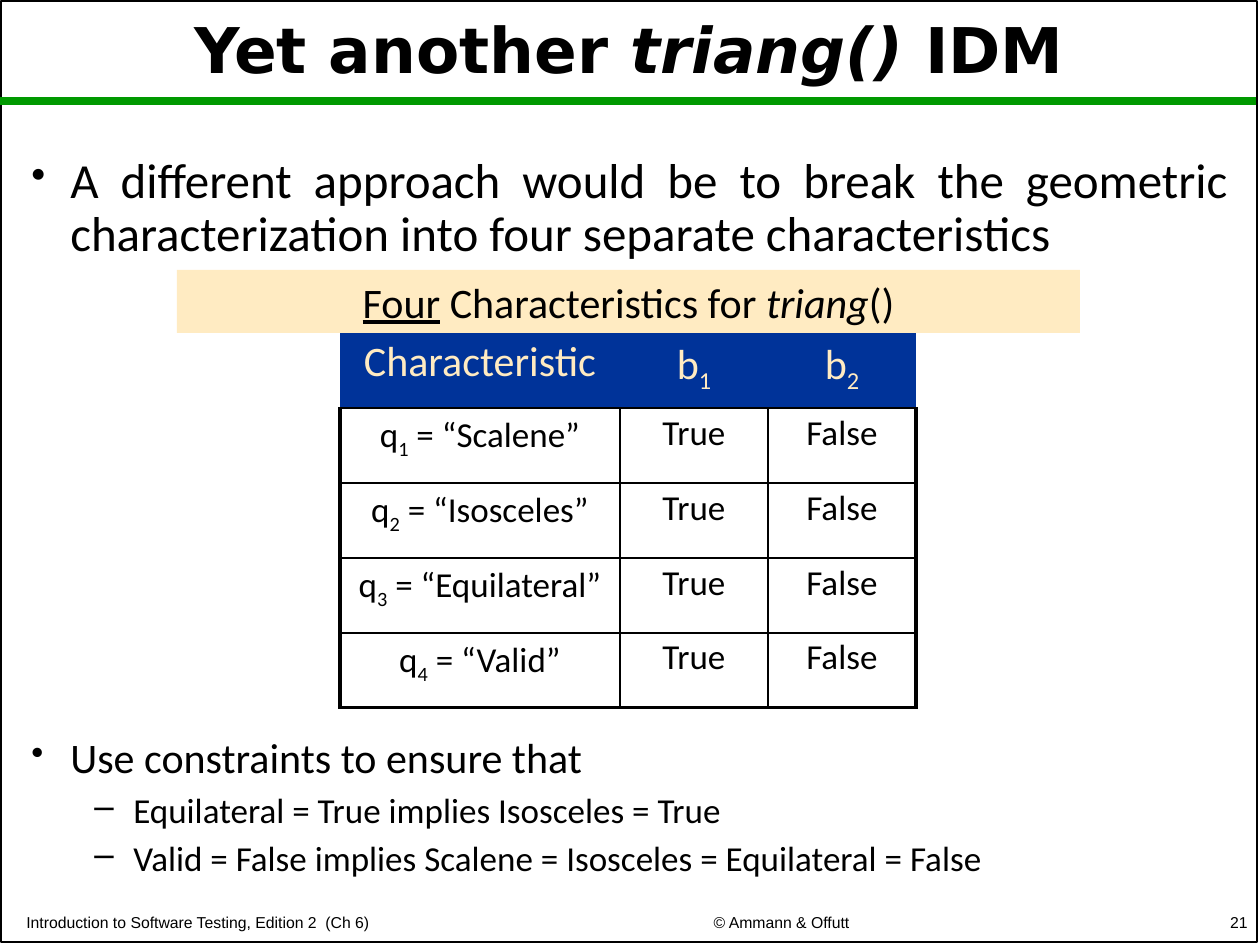
from lxml import etree
from pptx import Presentation
from pptx.dml.color import RGBColor
from pptx.enum import shapes, text
from pptx.oxml import ns
from pptx.util import Emu, Pt

BLACK = RGBColor(0x00, 0x00, 0x00)
WHITE = RGBColor(0xFF, 0xFF, 0xFF)
GREEN = RGBColor(0x00, 0x99, 0x00)
NAVY = RGBColor(0x00, 0x33, 0x99)
CREAM = RGBColor(0xFF, 0xEB, 0xC2)

LEFT, CENTER = text.PP_ALIGN.LEFT, text.PP_ALIGN.CENTER
RIGHT, JUSTIFY = text.PP_ALIGN.RIGHT, text.PP_ALIGN.JUSTIFY
TOP, MIDDLE, BOTTOM = text.MSO_ANCHOR.TOP, text.MSO_ANCHOR.MIDDLE, text.MSO_ANCHOR.BOTTOM
PLAIN_TABLE = "{2D5ABB26-0587-4C30-8999-92F81FD0307C}"
ITALIC, UNDERLINE, SUBSCRIPT = {"italic": True}, {"underline": True}, {"subscript": True}


def px(length):
    return Emu(round(length * 914400 / 126))


def add_xml(parent, tag, **attributes):
    return etree.SubElement(parent, ns.qn(tag), attributes)


def set_all(target, formats):
    for name, value in formats.items():
        setattr(target, name, value)


class SlideBuilder:
    """Holds the text style and the current slide."""

    def __init__(self, slide):
        self.slide = slide
        self.font = {"name": "Calibri", "size": 24}

    def fill_paragraph(self, paragraph, runs, color=BLACK, bullet=None, **style):
        """Fill a paragraph; runs is a string or a list of (string, formats)."""
        if bullet:
            properties = paragraph._p.get_or_add_pPr()
            properties.set("marL", str(px(bullet["indent"])))
            properties.set("indent", str(-px(39)))
            add_xml(properties, "a:buSzPct", val=bullet["size"])
            add_xml(properties, "a:buChar", char=bullet["char"])
        formats = {"alignment": LEFT, "line_spacing": 0.9}
        formats.update((key, style.pop(key)) for key in list(style)
                       if key in ("alignment", "line_spacing", "space_before", "level"))
        set_all(paragraph, formats)
        font = {**self.font, **style}
        font["size"] = Pt(font["size"])
        for content, extra in [(runs, {})] if isinstance(runs, str) else runs:
            run = paragraph.add_run()
            run.text = content
            if extra is SUBSCRIPT:
                run._r.get_or_add_rPr().set("baseline", "-25000")
                extra = {}
            set_all(run.font, {**font, **extra})
            run.font.color.rgb = color

    def text_box(self, box, paragraphs, anchor=TOP, wrap=True):
        frame = self.slide.shapes.add_textbox(*map(px, box)).text_frame
        set_all(frame, {"word_wrap": wrap, "vertical_anchor": anchor})
        for index, (runs, style) in enumerate(paragraphs):
            paragraph = frame.add_paragraph() if index else frame.paragraphs[0]
            self.fill_paragraph(paragraph, runs, **style)

    def rectangle(self, box, fill=None, line=None):
        shape = self.slide.shapes.add_shape(shapes.MSO_SHAPE.RECTANGLE, *map(px, box))
        shape.shadow.inherit = False
        for paint, color in ((shape.fill, fill), (shape.line.fill, line)):
            if color is None:
                paint.background()
            else:
                paint.solid()
                paint.fore_color.rgb = color
        if line is not None:
            shape.line.width = Pt(1)
        return shape

    def rule(self, start, end, color, width):
        line = self.slide.shapes.add_connector(
            shapes.MSO_CONNECTOR.STRAIGHT, *map(px, start + end))
        line.line.color.rgb = color
        line.line.width = Pt(width)
        add_xml(line._element.spPr, "a:effectLst")

    def border(self, cell, side, width):
        line = add_xml(cell._tc.get_or_add_tcPr(), f"a:ln{side}", w=str(Pt(width)))
        add_xml(add_xml(line, "a:solidFill"), "a:srgbClr", val=str(BLACK))

    def table(self, left, top, widths, row_height, rows):
        table = self.slide.shapes.add_table(
            len(rows), len(widths), px(left), px(top),
            px(sum(widths)), px(row_height * len(rows))).table
        set_all(table, {"first_row": False, "horz_banding": False})
        table._tbl.tblPr.find(ns.qn("a:tableStyleId")).text = PLAIN_TABLE
        for column, width in zip(table.columns, widths):
            column.width = px(width)
        last_row, last_column = len(rows) - 1, len(widths) - 1
        for r, row in enumerate(rows):
            for c, runs in enumerate(row):
                cell = table.cell(r, c)
                if r:
                    self.border(cell, "L", 1 if c else 2.25)
                    self.border(cell, "R", 2.25 if c == last_column else 1)
                    self.border(cell, "T", 1)
                self.border(cell, "B", 2.25 if r == last_row else 1)
                cell.fill.solid()
                cell.fill.fore_color.rgb = WHITE if r else NAVY
                self.fill_paragraph(cell.text_frame.paragraphs[0], runs, alignment=CENTER,
                                    size=20 if r else 24, color=BLACK if r else CREAM)


def indexed(letter, number, rest=""):
    runs = [(letter, {}), (str(number), SUBSCRIPT)]
    return runs + [(rest, {})] if rest else runs


def main():
    presentation = Presentation()
    presentation.slide_width, presentation.slide_height = px(1260), px(945)
    builder = SlideBuilder(presentation.slides.add_slide(presentation.slide_layouts[6]))

    # Frame and title
    builder.rectangle((1, 1, 1256, 941), line=BLACK)
    builder.rule((0, 101), (1256, 101), GREEN, 4.5)
    title = [("Yet another ", {}), ("triang()", ITALIC), (" IDM", {})]
    builder.text_box((1, 14, 1256, 79), [
        (title, {"name": "DejaVu Sans", "size": 36, "bold": True, "alignment": CENTER}),
    ], anchor=MIDDLE)

    # Opening point
    dot = {"char": "•", "size": "85000", "indent": 39}
    builder.text_box((19, 150, 1221, 116), [
        ("A different approach would be to break the geometric characterization "
         "into four separate characteristics",
         {"size": 28, "alignment": JUSTIFY, "bullet": dot}),
    ])

    # Table banner
    banner = builder.rectangle((177, 270, 903, 63), fill=CREAM)
    banner.text_frame.word_wrap = True
    builder.fill_paragraph(banner.text_frame.paragraphs[0], [
        ("Four", UNDERLINE), (" Characteristics for ", {}), ("triang", ITALIC), ("()", {}),
    ], alignment=CENTER, line_spacing=1.0)

    # Characteristics table
    kinds = ["Scalene", "Isosceles", "Equilateral", "Valid"]
    rows = [["Characteristic", indexed("b", 1), indexed("b", 2)]]
    rows += [[indexed("q", number, f" = “{kind}”"), "True", "False"]
             for number, kind in enumerate(kinds, 1)]
    builder.table(340, 333, [280, 148, 148], 75, rows)

    # Constraints
    dash = {"char": "–", "size": "100000", "indent": 102}
    detail = {"size": 20, "level": 1, "space_before": Pt(6), "bullet": dash}
    builder.text_box((19, 731, 1221, 150), [
        ("Use constraints to ensure that", {"bullet": dot}),
        ("Equilateral = True implies Isosceles = True", detail),
        ("Valid = False implies Scalene = Isosceles = Equilateral = False", detail),
    ])

    # Footer
    for box, words, alignment in (
        ((14, 905, 543, 33), "Introduction to Software Testing, Edition 2  (Ch 6)", LEFT),
        ((582, 904, 399, 34), "© Ammann & Offutt", CENTER),
        ((998, 903, 262, 35), "21", RIGHT),
    ):
        style = {"name": "Arial", "size": 9, "alignment": alignment, "line_spacing": 1.0}
        builder.text_box(box, [(words, style)], anchor=BOTTOM, wrap=False)

    presentation.save("out.pptx")


if __name__ == "__main__":
    main()
